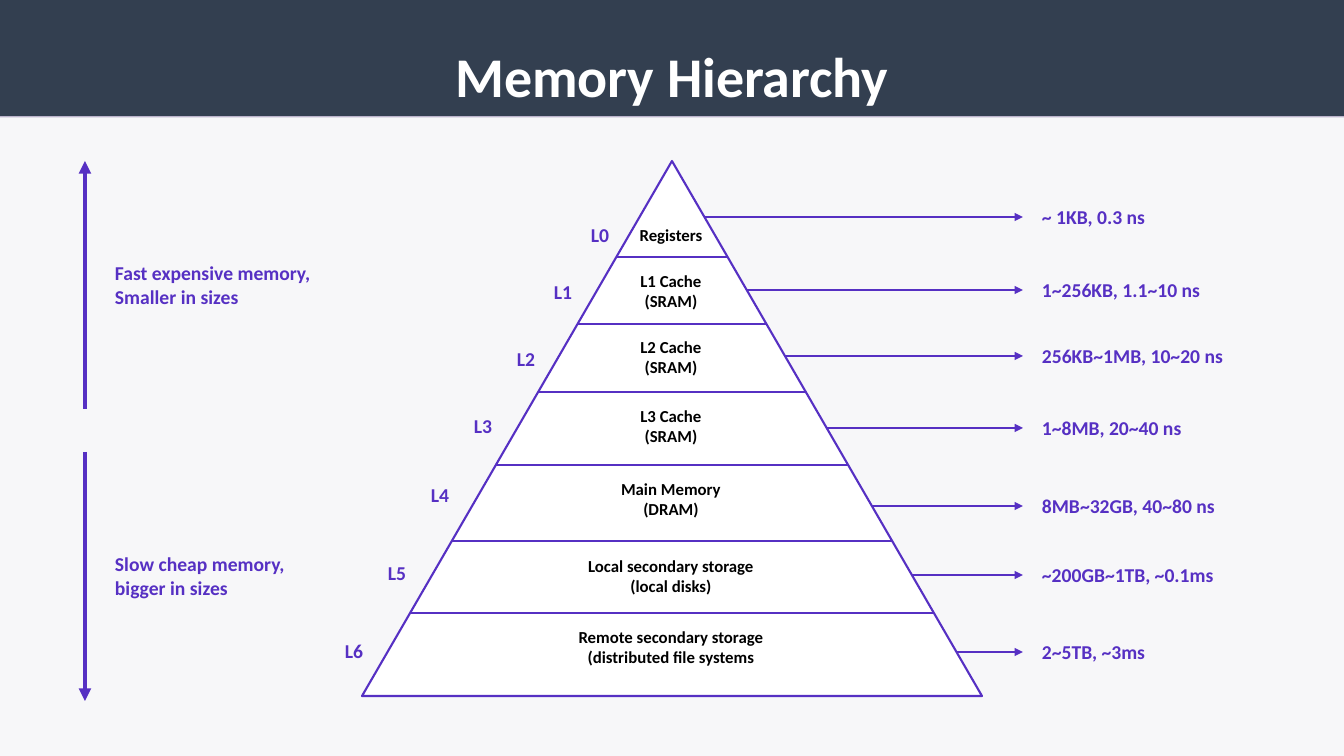
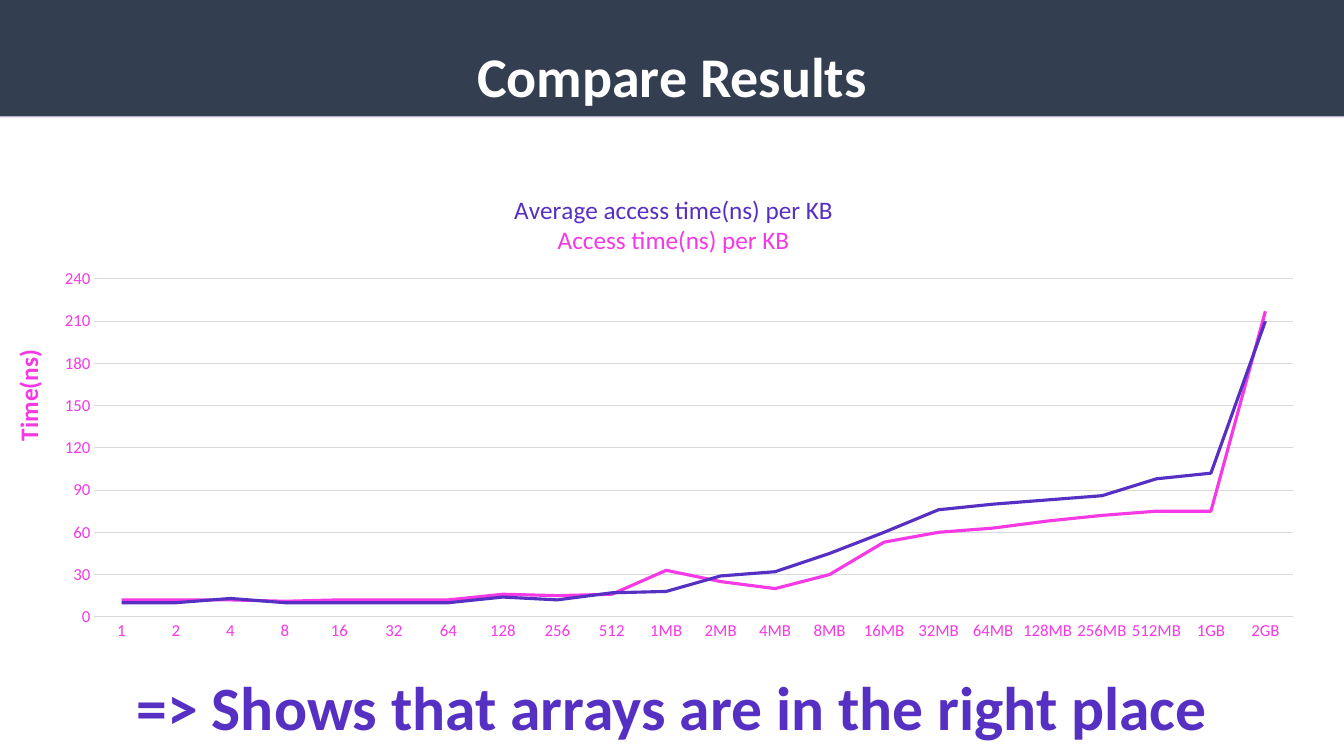
"""Builds two slides on the memory hierarchy and its measured access times."""
from lxml import etree
from pptx import Presentation
from pptx import util as u
from pptx.chart import data
from pptx.dml import color
from pptx.enum import chart as charts, shapes, text
from pptx.oxml import ns

WIDTH, HEIGHT = 1344, 756
SCALE = 12192000 / WIDTH
PURPLE, PINK, NAVY = "5630C3", "F539E5", "333F50"
WHITE, BLACK, GRID, SHADE = "FFFFFF", "000000", "D9D9D9", "BBB3CB"
CENTER, LEFT = text.PP_ALIGN.CENTER, text.PP_ALIGN.LEFT


def px(length):
    return u.Emu(round(length * SCALE))


def rgb(code):
    return color.RGBColor.from_string(code)


def assign(target, **values):
    for name, value in values.items():
        setattr(target, name, value)


def child(parent, tag, **attributes):
    return etree.SubElement(parent, ns.qn(tag), attributes)


def stroke(line, ink, points):
    line.color.rgb = rgb(ink)
    line.width = u.Pt(points)


def place(parent, index, **fractions):
    layout = parent.find(ns.qn("c:layout"))
    if layout is None:
        layout = etree.Element(ns.qn("c:layout"))
        parent.insert(index, layout)
    manual = child(layout, "c:manualLayout")
    if "w" in fractions:
        child(manual, "c:layoutTarget", val="inner")
    for side in "xy":
        child(manual, f"c:{side}Mode", val="edge")
    for side, value in fractions.items():
        child(manual, f"c:{side}", val=str(value))


class Deck:
    """Holds the shared style and the slide being drawn."""

    def __init__(self):
        self.prs = Presentation()
        assign(self.prs, slide_width=px(WIDTH), slide_height=px(HEIGHT))

    def font(self, font, size, ink, bold=True):
        assign(font, name="Calibri", size=u.Pt(size), bold=bold)
        font.color.rgb = rgb(ink)

    def typeset(self, frame, lines, size, inks, align=LEFT, spacing=None, bold=True):
        for i, line in enumerate(lines):
            paragraph = frame.paragraphs[0] if i == 0 else frame.add_paragraph()
            assign(paragraph, alignment=align, line_spacing=spacing)
            run = paragraph.add_run()
            run.text = line
            self.font(run.font, size, inks[i % len(inks)], bold)

    def start(self, title, background):
        self.slide = self.prs.slides.add_slide(self.prs.slide_layouts[5])
        fill = self.slide.background.fill
        fill.solid()
        fill.fore_color.rgb = rgb(background)
        band = self.slide.shapes.title
        assign(band, left=0, top=0, width=px(WIDTH), height=px(116))
        band.fill.solid()
        band.fill.fore_color.rgb = rgb(NAVY)
        assign(band.text_frame, auto_size=text.MSO_AUTO_SIZE.NONE,
               vertical_anchor=text.MSO_ANCHOR.MIDDLE)
        self.typeset(band.text_frame, [title], 40, [WHITE], CENTER, 1.5)
        effects = child(band._element.spPr, "a:effectLst")
        shadow = child(effects, "a:outerShdw", dist="12700", dir="5400000")
        child(shadow, "a:srgbClr", val=SHADE)

    def label(self, box, lines, size=14, ink=PURPLE, align=LEFT, spacing=None, turn=0):
        note = self.slide.shapes.add_textbox(*map(px, box))
        note.rotation = turn
        note.text_frame.word_wrap = True
        self.typeset(note.text_frame, lines, size, [ink], align, spacing)

    def line(self, start, end, points=1.5, arrow=False):
        rule = self.slide.shapes.add_connector(
            shapes.MSO_CONNECTOR.STRAIGHT, *map(px, start + end))
        stroke(rule.line, PURPLE, points)
        if arrow:
            child(rule._element.spPr.find(ns.qn("a:ln")), "a:tailEnd", type="triangle")
        child(rule._element.spPr, "a:effectLst")

    def triangle(self, box):
        outline = self.slide.shapes.add_shape(shapes.MSO_SHAPE.ISOSCELES_TRIANGLE, *map(px, box))
        outline.shadow.inherit = False
        outline.fill.solid()
        outline.fill.fore_color.rgb = rgb(WHITE)
        stroke(outline.line, PURPLE, 1.5)

    def line_chart(self, box, categories, series, titles):
        table = data.CategoryChartData()
        table.categories = categories
        for name, _, values in series:
            table.add_series(name, values)
        chart = self.slide.shapes.add_chart(
            charts.XL_CHART_TYPE.LINE, *map(px, box), table).chart
        self.font(chart.font, 12, PINK, False)
        assign(chart, has_legend=False, has_title=True)
        self.typeset(chart.chart_title.text_frame, titles, 18, [PURPLE, PINK], CENTER, bold=False)
        chart.plots[0].vary_by_categories = False
        for curve, (_, ink, _) in zip(chart.plots[0].series, series):
            curve.smooth = False
            curve.marker.style = charts.XL_MARKER_STYLE.NONE
            stroke(curve.format.line, ink, 2.25)
        for axis in (chart.category_axis, chart.value_axis):
            assign(axis, major_tick_mark=charts.XL_TICK_MARK.NONE,
                   minor_tick_mark=charts.XL_TICK_MARK.NONE)
            self.font(axis.tick_labels.font, 12, PINK, False)
        stroke(chart.category_axis.format.line, GRID, 0.75)
        assign(chart.value_axis, minimum_scale=0, maximum_scale=240, major_unit=30,
               has_major_gridlines=True)
        chart.value_axis.format.line.fill.background()
        stroke(chart.value_axis.major_gridlines.format.line, GRID, 0.75)
        place(chart._chartSpace.chart.plotArea, 0, x=0.044, y=0.225, w=0.937, h=0.704)
        place(chart.chart_title._element, 1, x=0.37, y=0.04)


APEX_X, APEX_Y, BASE_Y, HALF_BASE = 672, 161, 696, 310
DIVIDERS = [257, 324, 392, 465, 541, 613]
LEVELS = [
    (["Registers"], 220, (581, 218), 217, "~ 1KB, 0.3 ns"),
    (["L1 Cache", "(SRAM)"], 266, (544, 275), 290, "1~256KB, 1.1~10 ns"),
    (["L2 Cache", "(SRAM)"], 332, (507, 342), 356, "256KB~1MB, 10~20 ns"),
    (["L3 Cache", "(SRAM)"], 401, (464, 409), 428, "1~8MB, 20~40 ns"),
    (["Main Memory", "(DRAM)"], 474, (421, 478), 506, "8MB~32GB, 40~80 ns"),
    (["Local secondary storage", "(local disks)"], 551, (378, 556), 575, "~200GB~1TB, ~0.1ms"),
    (["Remote secondary storage", "(distributed file systems"], 622, (335, 634), 652,
     "2~5TB, ~3ms"),
]
TRENDS = [
    (409, 161, 256, ["Fast expensive memory,", "Smaller in sizes"]),
    (452, 701, 547, ["Slow cheap memory,", "bigger in sizes"]),
]
SIZES = [str(2 ** n) for n in range(10)]
SIZES += [f"{2 ** n}MB" for n in range(10)] + ["1GB", "2GB"]
SERIES = [
    ("Series 1", PINK, [12, 12, 12, 11, 12, 12, 12, 16, 15, 16, 33,
                        25, 20, 30, 53, 60, 63, 68, 72, 75, 75, 217]),
    ("Series 2", PURPLE, [10, 10, 13, 10, 10, 10, 10, 14, 12, 17, 18,
                          29, 32, 45, 60, 76, 80, 83, 86, 98, 102, 210]),
]


def half_width(y):
    return round((y - APEX_Y) * HALF_BASE / (BASE_Y - APEX_Y))


def hierarchy(deck):
    deck.start("Memory Hierarchy", "F7F7F9")
    deck.triangle((APEX_X - HALF_BASE, APEX_Y, 2 * HALF_BASE, BASE_Y - APEX_Y))
    for y in DIVIDERS:
        deck.line((APEX_X - half_width(y), y), (APEX_X + half_width(y), y))
    for number, (memory, top, corner, y, speed) in enumerate(LEVELS):
        deck.label((APEX_X - 121, top, 240, 50), memory, 12, BLACK, CENTER)
        deck.label(corner + (86, 34), [f"L{number}"])
        deck.line((APEX_X + half_width(y), y), (1023, y), arrow=True)
        deck.label((1032, y - 17, 256, 34), [speed])
    for tail, head, top, trend in TRENDS:
        deck.line((85, tail), (85, head), 3, arrow=True)
        deck.label((105, top, 256, 57), trend)


def results(deck):
    deck.start("Compare Results", WHITE)
    deck.line_chart((38, 171, 1279, 480), SIZES, SERIES,
                    ["Average access time(ns) per KB", "Access time(ns) per KB"])
    deck.label((-48, 355, 152, 40), ["Time(ns)"], 18, PINK, turn=270)
    deck.label((95, 627, 1155, 110), ["=> Shows that arrays are in the right place"],
               44, PURPLE, CENTER, 1.5)


def main():
    deck = Deck()
    hierarchy(deck)
    results(deck)
    deck.prs.save("out.pptx")


if __name__ == "__main__":
    main()
